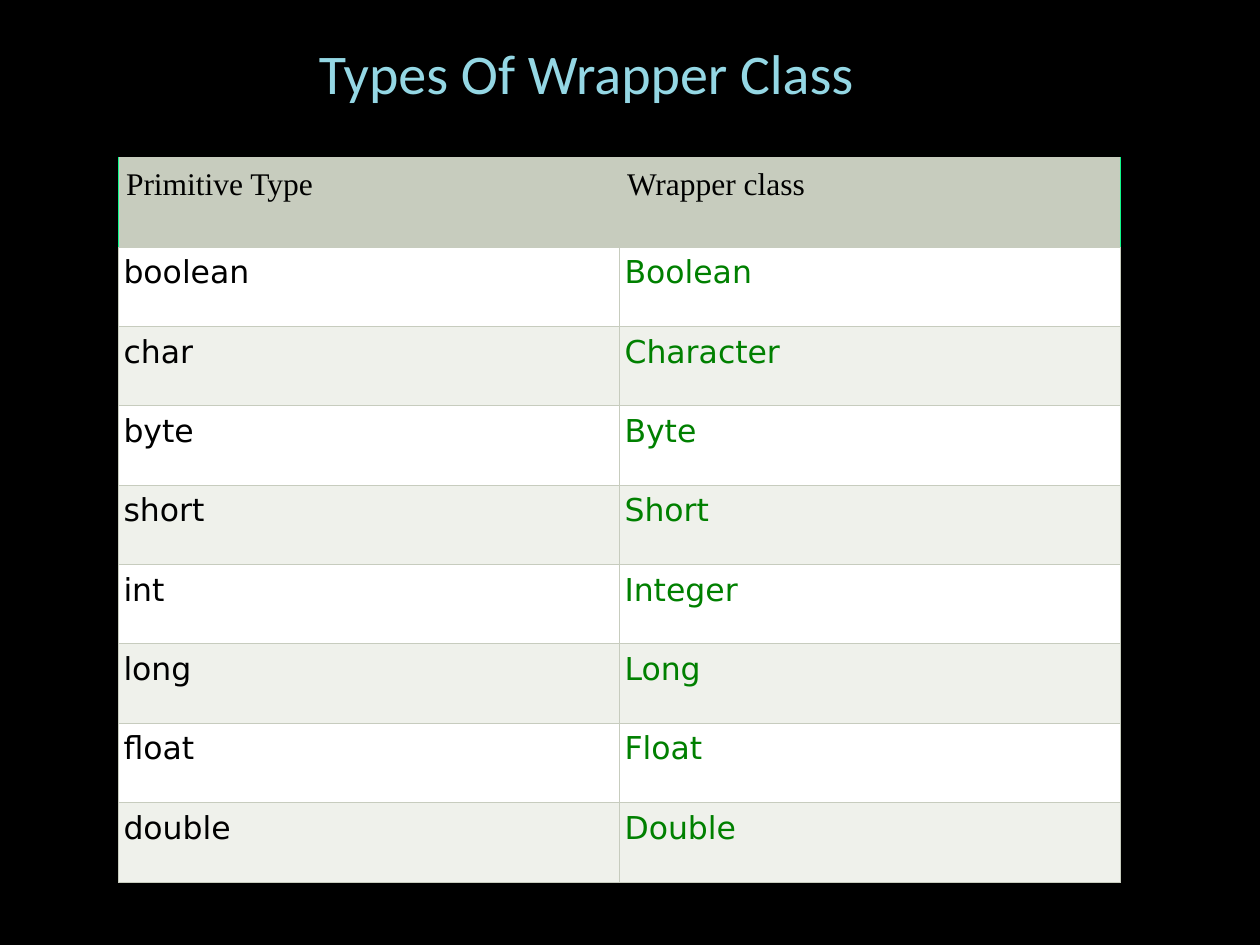
"""Build a slide that lists Java primitive types with their wrapper classes."""
import pptx
import pptx.dml.color
import pptx.enum.text
import pptx.oxml
import pptx.oxml.ns
import pptx.util
from pptx.util import Cm

COLORS = {
    "background": "000000",
    "title": "94D7E4",
    "text": "000000",
    "wrapper": "008000",
    "header": "C7CCBE",
    "edge": "10F88B",
    "plain": "FFFFFF",
    "band": "EFF1EB",
}
HEADINGS = ("Primitive Type", "Wrapper class")
TYPES = (
    ("boolean", "Boolean"),
    ("char", "Character"),
    ("byte", "Byte"),
    ("short", "Short"),
    ("int", "Integer"),
    ("long", "Long"),
    ("float", "Float"),
    ("double", "Double"),
)
HEADER_FORMAT = {"margin_left": Cm(0.15), "margin_right": Cm(0.15),
                 "margin_top": Cm(0.2), "margin_bottom": Cm(0.2)}
BODY_FORMAT = {"margin_left": Cm(0.1), "margin_right": Cm(0.1),
               "margin_top": Cm(0.15), "margin_bottom": Cm(0.15)}


def set_attributes(target, values):
    """Set each named attribute of the target."""
    for name, value in values.items():
        setattr(target, name, value)


def set_fill(fill, color):
    """Make a fill solid in the named colour."""
    fill.solid()
    fill.fore_color.rgb = pptx.dml.color.RGBColor.from_string(COLORS[color])


def write_text(text_frame, text, font_name, size, color, paragraph_format):
    """Write one formatted paragraph."""
    paragraph = text_frame.paragraphs[0]
    set_attributes(paragraph, paragraph_format)
    run = paragraph.add_run()
    run.text = text
    set_attributes(run.font, {"name": font_name, "size": pptx.util.Pt(size), "bold": False})
    set_fill(run.font.fill, color)


def set_borders(cell, colors):
    """Draw thin cell borders in the colours named for each side."""
    properties = cell._tc.get_or_add_tcPr()
    for side in ("L", "R", "T", "B"):
        color = COLORS[colors.get(side, "header")]
        properties.append(pptx.oxml.parse_xml(
            f'<a:ln{side} {pptx.oxml.ns.nsdecls("a")} w="6350"><a:solidFill>'
            f'<a:srgbClr val="{color}"/></a:solidFill></a:ln{side}>'))


def fill_cell(cell, text, font_name, color, background, margins, borders):
    """Format one table cell and write its text."""
    set_attributes(cell, margins)
    set_borders(cell, borders)
    set_fill(cell.fill, background)
    write_text(cell.text_frame, text, font_name, 18, color, {})


def add_title(slide, text):
    """Place the title at the top, aligned right."""
    title = slide.shapes.title
    set_attributes(title, {"left": Cm(1.17), "top": Cm(0.3),
                           "width": Cm(16.3), "height": Cm(1.98)})
    set_attributes(title.text_frame, {"word_wrap": True,
                                      "auto_size": pptx.enum.text.MSO_AUTO_SIZE.NONE,
                                      "vertical_anchor": pptx.enum.text.MSO_ANCHOR.BOTTOM})
    write_text(title.text_frame, text, "Calibri", 32, "title",
               {"alignment": pptx.enum.text.PP_ALIGN.RIGHT, "line_spacing": 0.9,
                "space_before": pptx.util.Pt(10)})


def add_type_table(slide):
    """Add the table of primitive types and wrapper classes."""
    table = slide.shapes.add_table(len(TYPES) + 1, len(HEADINGS), Cm(2.39), Cm(3.18),
                                   Cm(20.2), Cm(14.6)).table
    for column in table.columns:
        column.width = Cm(10.1)
    for index, row in enumerate(table.rows):
        row.height = Cm(1.6) if index else Cm(1.8)
    outer_edges = ({"L": "edge"}, {"R": "edge"})
    for index, (heading, edges) in enumerate(zip(HEADINGS, outer_edges)):
        fill_cell(table.cell(0, index), heading, "Times New Roman", "text", "header",
                  HEADER_FORMAT, edges)
    for row_index, names in enumerate(TYPES, start=1):
        background = "plain" if row_index % 2 else "band"
        for column_index, (name, color) in enumerate(zip(names, ("text", "wrapper"))):
            fill_cell(table.cell(row_index, column_index), name, "DejaVu Sans", color,
                      background, BODY_FORMAT, {})


def main():
    """Build and save the presentation."""
    presentation = pptx.Presentation()
    set_attributes(presentation, {"slide_width": Cm(25.4), "slide_height": Cm(19.05)})
    slide = presentation.slides.add_slide(presentation.slide_layouts.get_by_name("Title Only"))
    set_fill(slide.background.fill, "background")
    add_title(slide, "Types Of Wrapper Class")
    add_type_table(slide)
    presentation.save("out.pptx")


if __name__ == "__main__":
    main()
